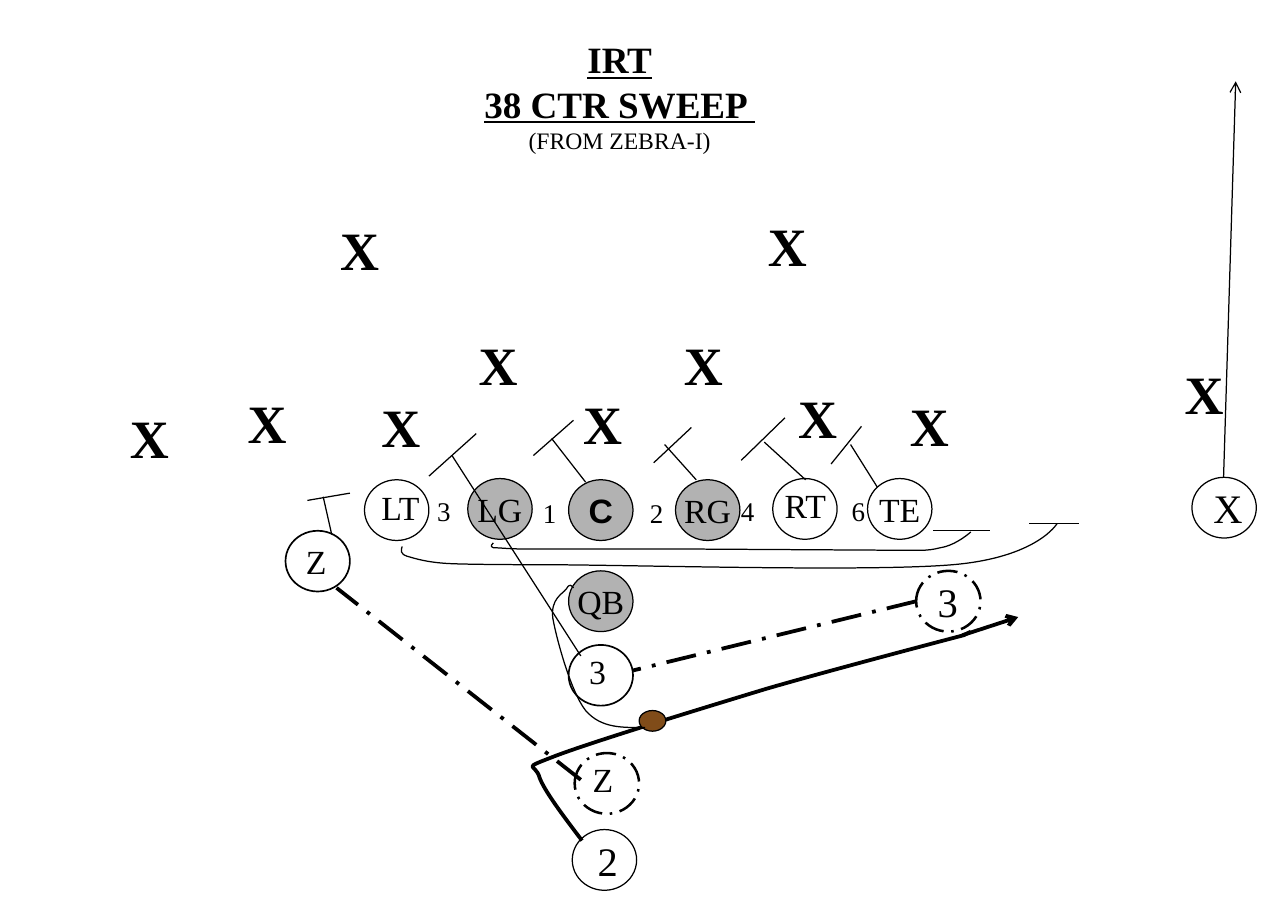
"""Build the 38 CTR SWEEP football play diagram."""
from dataclasses import dataclass
from itertools import chain
from typing import Optional

from lxml.etree import SubElement
from pptx import Presentation
from pptx.dml.color import RGBColor
from pptx.enum.dml import MSO_LINE as Dash
from pptx.enum.shapes import MSO_CONNECTOR as Connector, MSO_SHAPE as Preset
from pptx.enum.text import MSO_ANCHOR as Anchor, MSO_AUTO_SIZE as AutoSize, PP_ALIGN as Align
from pptx.oxml.ns import qn
from pptx.util import Inches, Pt

Point = tuple[float, float]


@dataclass(frozen=True)
class Theme:
    """Colours, fonts, type sizes and line widths of the diagram."""
    ink: RGBColor = RGBColor(0, 0, 0)
    paper: RGBColor = RGBColor(255, 255, 255)
    shade: RGBColor = RGBColor(0xB2, 0xB2, 0xB2)
    leather: RGBColor = RGBColor(0x80, 0x4C, 0x19)
    serif: str = "Times New Roman"
    sans: str = "Arial"
    title: int = 22
    subtitle: int = 14
    defender: int = 32
    large: int = 24
    player: int = 20
    gap: int = 16
    thin: float = 0.75
    medium: float = 1
    dashed: float = 1.5
    thick: float = 2.25


THEME = Theme()


@dataclass(frozen=True)
class Label:
    """A short text in its own box."""
    text: str
    left: float
    top: float
    width: float
    height: float
    size: int = THEME.player
    bold: bool = False


@dataclass(frozen=True)
class Player:
    """An offensive player's circle, optionally with text inside."""
    left: float
    top: float
    text: str = ""
    fill: RGBColor = THEME.paper
    size: int = THEME.player
    font: str = THEME.serif
    align: Align = Align.CENTER
    weight: float = THEME.thin
    dash: Optional[Dash] = None
    width: float = 0.53
    height: float = 0.5


@dataclass(frozen=True)
class Stroke:
    """A straight line of a block, motion or route."""
    start: Point
    end: Point
    weight: float = THEME.thin
    dash: Optional[Dash] = None
    arrow: bool = False


@dataclass(frozen=True)
class Curve:
    """An open outline; three points make a cubic segment, one a straight one."""
    start: Point
    segments: list[tuple[Point, ...]]
    weight: float = THEME.thin


PLAYERS = [
    Player(4.68, 3.95, "C", THEME.shade, font=THEME.sans),
    Player(5.56, 3.95, "RG", THEME.shade),
    Player(3.85, 3.94, "LG", THEME.shade),
    Player(4.68, 4.7, "QB", THEME.shade),
    Player(4.71, 6.83),
    Player(6.36, 3.94),
    Player(4.73, 6.2, weight=THEME.dashed, dash=Dash.LONG_DASH_DOT),
    Player(3, 3.95),
    Player(9.81, 3.93, "X", size=THEME.large, align=Align.LEFT),
    Player(7.14, 3.94, "TE"),
    Player(7.54, 4.7, "3", size=THEME.large, align=Align.LEFT,
           weight=THEME.dashed, dash=Dash.LONG_DASH_DOT),
    Player(2.35, 4.37, weight=THEME.medium),
    Player(4.68, 5.31, weight=THEME.medium),
]
FOOTBALL = Player(5.26, 5.85, fill=THEME.leather, width=0.22, height=0.17)

PLAYER_LABELS = [
    Label("2", 4.82, 6.83, 0.36, 0.5, THEME.large),
    Label("LT", 3.04, 3.96, 0.54, 0.44),
    Label("Z", 4.78, 6.2, 0.37, 0.44),
    Label("RT", 6.36, 3.94, 0.55, 0.44),
    Label("Z", 2.42, 4.4, 0.37, 0.44),
    Label("3", 4.75, 5.31, 0.34, 0.44),
]
DEFENDERS = [Label("X", left, top, 0.52, 0.64, THEME.defender, True) for left, top in [
    (4.7, 3.17), (3.04, 3.19), (6.47, 3.12), (3.84, 2.68), (1.94, 3.16), (5.53, 2.68),
    (7.39, 3.18), (0.97, 3.28), (9.65, 2.92), (2.7, 1.73), (6.22, 1.7)]]
GAPS = [Label(text, left, top, 0.34, 0.43, THEME.gap) for text, left, top in [
    ("2", 5.25, 4.04), ("4", 6, 4.02), ("6", 6.91, 4.02), ("1", 4.37, 4.04), ("3", 3.5, 4.02)]]

BLOCKS = [Stroke(start, end) for start, end in [
    ((6.29, 3.64), (6.63, 3.95)), ((6.46, 3.44), (6.1, 3.79)),
    ((2.73, 4.4), (2.66, 4.09)), ((2.88, 4.06), (2.53, 4.12)),
    ((4.78, 5.4), (3.72, 3.75)), ((3.53, 3.92), (3.92, 3.57)),
    ((5.73, 3.95), (5.47, 3.66)), ((5.38, 3.81), (5.69, 3.52)),
    ((4.54, 3.61), (4.82, 3.97)), ((4.39, 3.75), (4.72, 3.46)),
    ((7.22, 4.01), (7, 3.66)), ((6.84, 3.82), (7.09, 3.51)),
    ((7.68, 4.37), (8.15, 4.37)), ((8.47, 4.31), (8.88, 4.31))]]
ROUTES = [
    Stroke((4.78, 6.42), (2.77, 4.84), THEME.thick, Dash.LONG_DASH_DOT),
    Stroke((7.54, 4.95), (5.21, 5.52), THEME.thick, Dash.LONG_DASH_DOT),
    Stroke((10.07, 3.93), (10.17, 0.67), arrow=True),
    Stroke((7.92, 5.23), (8.38, 5.08), THEME.thick, arrow=True),
]
LEFT_GUARD_PULL = Curve((4.06, 4.47), [
    ((4.05, 4.48), (4.03, 4.5), (4.06, 4.51)), ((4.1, 4.51), (4.2, 4.52), (4.29, 4.52)),
    ((4.63, 4.52),), ((5.55, 4.52),), ((7.23, 4.53),),
    ((7.6, 4.53), (7.62, 4.54), (7.74, 4.51)), ((7.87, 4.49), (7.99, 4.38), (7.99, 4.38))])
LEFT_TACKLE_PULL = Curve((3.31, 4.5), [
    ((3.3, 4.53), (3.29, 4.56), (3.35, 4.58)), ((3.42, 4.6), (3.51, 4.63), (3.69, 4.64)),
    ((3.88, 4.65), (4.47, 4.65), (4.47, 4.65)), ((5.16, 4.65), (7.13, 4.71), (7.84, 4.65)),
    ((8.54, 4.59), (8.7, 4.31), (8.7, 4.31))])
SWEEP = Curve((4.79, 6.92), [
    ((4.63, 6.71), (4.48, 6.51), (4.44, 6.4)), ((4.41, 6.28), (4.27, 6.34), (4.58, 6.22)),
    ((4.9, 6.1), (5.75, 5.84), (6.31, 5.67)), ((6.86, 5.51), (7.93, 5.23), (7.93, 5.23)),
    ((7.99, 5.2),)], THEME.thick)
QUARTERBACK_ROUTE = Curve((4.72, 4.84), [
    ((4.7, 4.82), (4.69, 4.8), (4.66, 4.85)), ((4.63, 4.89), (4.53, 4.93), (4.55, 5.09)),
    ((4.58, 5.26), (4.7, 5.7), (4.82, 5.85)), ((4.95, 6), (5.13, 5.99), (5.31, 5.99))])


def add_run(paragraph, text: str, size: int, bold: bool = False, font: str = THEME.serif,
            underline: bool = False) -> None:
    """Add one formatted run."""
    run = paragraph.add_run()
    run.text = text
    run.font.name, run.font.size = font, Pt(size)
    run.font.bold, run.font.underline = bold, underline
    run.font.color.rgb = THEME.ink


def format_line(line, weight: float, dash: Optional[Dash] = None) -> None:
    """Give a line the ink colour, a width and a dash."""
    line.color.rgb = THEME.ink
    line.width = Pt(weight)
    if dash is not None:
        line.dash_style = dash


def add_title(slide) -> None:
    """Place and fill the title placeholder."""
    title = slide.shapes.title
    title.left, title.top, title.width, title.height = map(Inches, (2.7, 0.25, 4.8, 1.3))
    frame = title.text_frame
    frame.vertical_anchor, frame.auto_size, frame.word_wrap = Anchor.TOP, AutoSize.NONE, True
    for index, text in enumerate(("IRT", "38 CTR SWEEP ", "(FROM ZEBRA-I)")):
        paragraph = frame.add_paragraph() if index else frame.paragraphs[0]
        paragraph.alignment, paragraph.line_spacing = Align.CENTER, 1.0
        paragraph.space_before = Pt(0)
        main_line = index < 2
        add_run(paragraph, text, THEME.title if main_line else THEME.subtitle, main_line,
                underline=main_line)


def add_player(slide, player: Player) -> None:
    """Draw a circle with its inner text."""
    shape = slide.shapes.add_shape(
        Preset.OVAL, *map(Inches, (player.left, player.top, player.width, player.height)))
    shape.shadow.inherit = False
    shape.fill.solid()
    shape.fill.fore_color.rgb = player.fill
    format_line(shape.line, player.weight, player.dash)
    if player.text:
        frame = shape.text_frame
        frame.word_wrap, frame.vertical_anchor = False, Anchor.MIDDLE
        paragraph = frame.paragraphs[0]
        paragraph.alignment = player.align
        add_run(paragraph, player.text, player.size, player.font == THEME.sans, player.font)


def add_label(slide, label: Label) -> None:
    """Draw a free-standing label."""
    box = slide.shapes.add_textbox(
        *map(Inches, (label.left, label.top, label.width, label.height)))
    frame = box.text_frame
    frame.word_wrap = False
    frame.auto_size = AutoSize.NONE if label.size == THEME.gap else AutoSize.SHAPE_TO_FIT_TEXT
    add_run(frame.paragraphs[0], label.text, label.size, label.bold)


def add_stroke(slide, stroke: Stroke) -> None:
    """Draw a straight line, with an arrowhead if asked."""
    connector = slide.shapes.add_connector(
        Connector.STRAIGHT, *map(Inches, stroke.start + stroke.end))
    format_line(connector.line, stroke.weight, stroke.dash)
    properties = connector._element.spPr
    if stroke.arrow:
        SubElement(properties.find(qn("a:ln")), qn("a:tailEnd"), type="arrow")
    SubElement(properties, qn("a:effectLst"))


def add_curve(slide, curve: Curve) -> None:
    """Draw an open outline with cubic and straight segments."""
    builder = slide.shapes.build_freeform(*map(Inches, curve.start))
    builder.add_line_segments(
        [tuple(map(Inches, point)) for point in chain(*curve.segments)], close=False)
    shape = builder.convert_to_shape()
    shape.shadow.inherit = False
    shape.fill.background()
    format_line(shape.line, curve.weight)
    outline = next(shape._element.iter(qn("a:path")))
    corners = iter(outline.findall(qn("a:lnTo")))
    for segment in curve.segments:
        tag = "a:cubicBezTo" if len(segment) == 3 else "a:lnTo"
        joined = SubElement(outline, qn(tag))
        for _ in segment:
            corner = next(corners)
            joined.append(corner[0])
            outline.remove(corner)


def main() -> None:
    """Build and save the slide."""
    presentation = Presentation()
    presentation.slide_width, presentation.slide_height = Inches(10.6), Inches(7.5)
    slide = presentation.slides.add_slide(presentation.slide_layouts[5])
    add_title(slide)
    for player in PLAYERS:
        add_player(slide, player)
    for label in chain(PLAYER_LABELS, DEFENDERS, GAPS):
        add_label(slide, label)
    for stroke in chain(BLOCKS, ROUTES):
        add_stroke(slide, stroke)
    for curve in (LEFT_GUARD_PULL, LEFT_TACKLE_PULL, SWEEP):
        add_curve(slide, curve)
    add_player(slide, FOOTBALL)
    add_curve(slide, QUARTERBACK_ROUTE)
    presentation.save("out.pptx")


if __name__ == "__main__":
    main()
